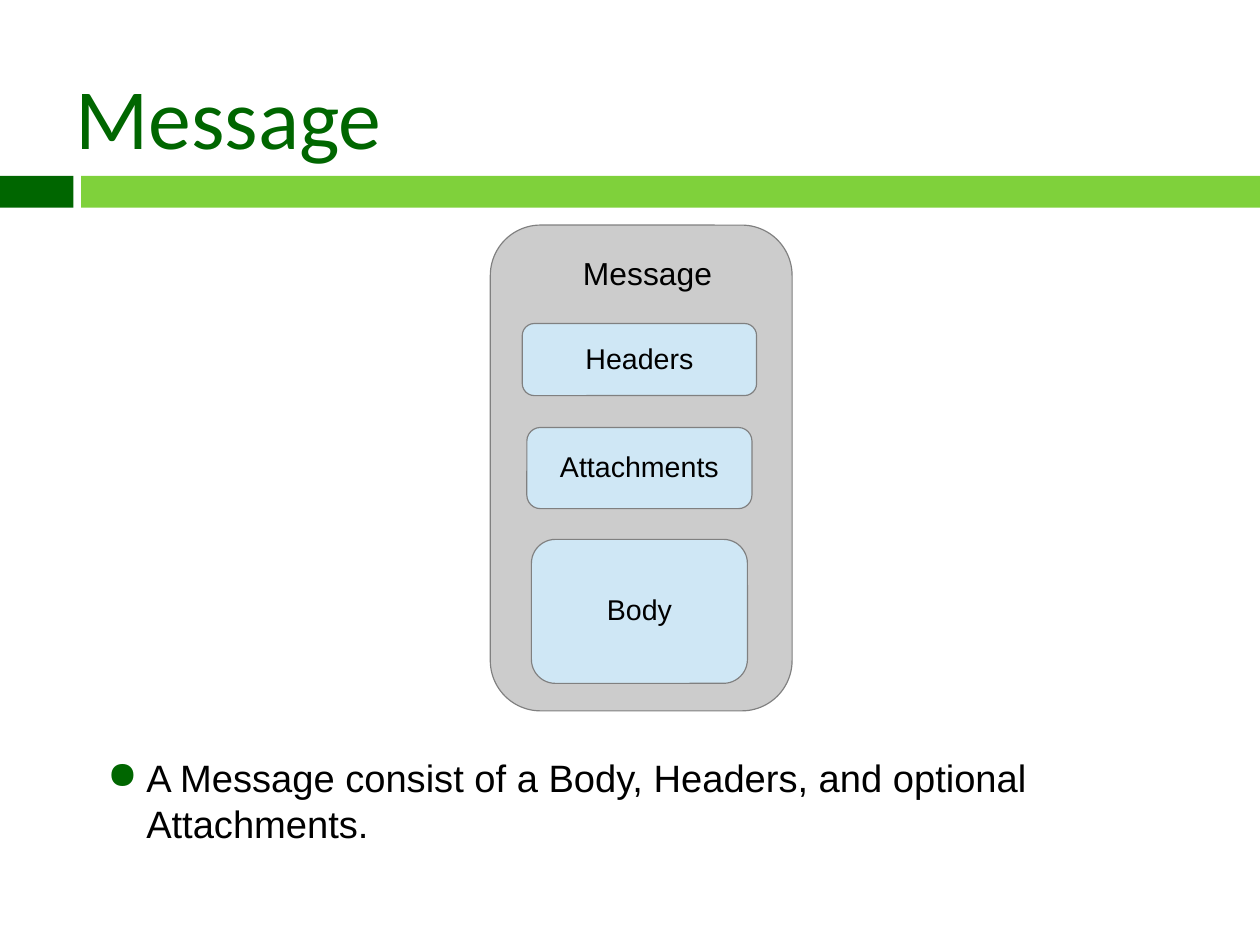
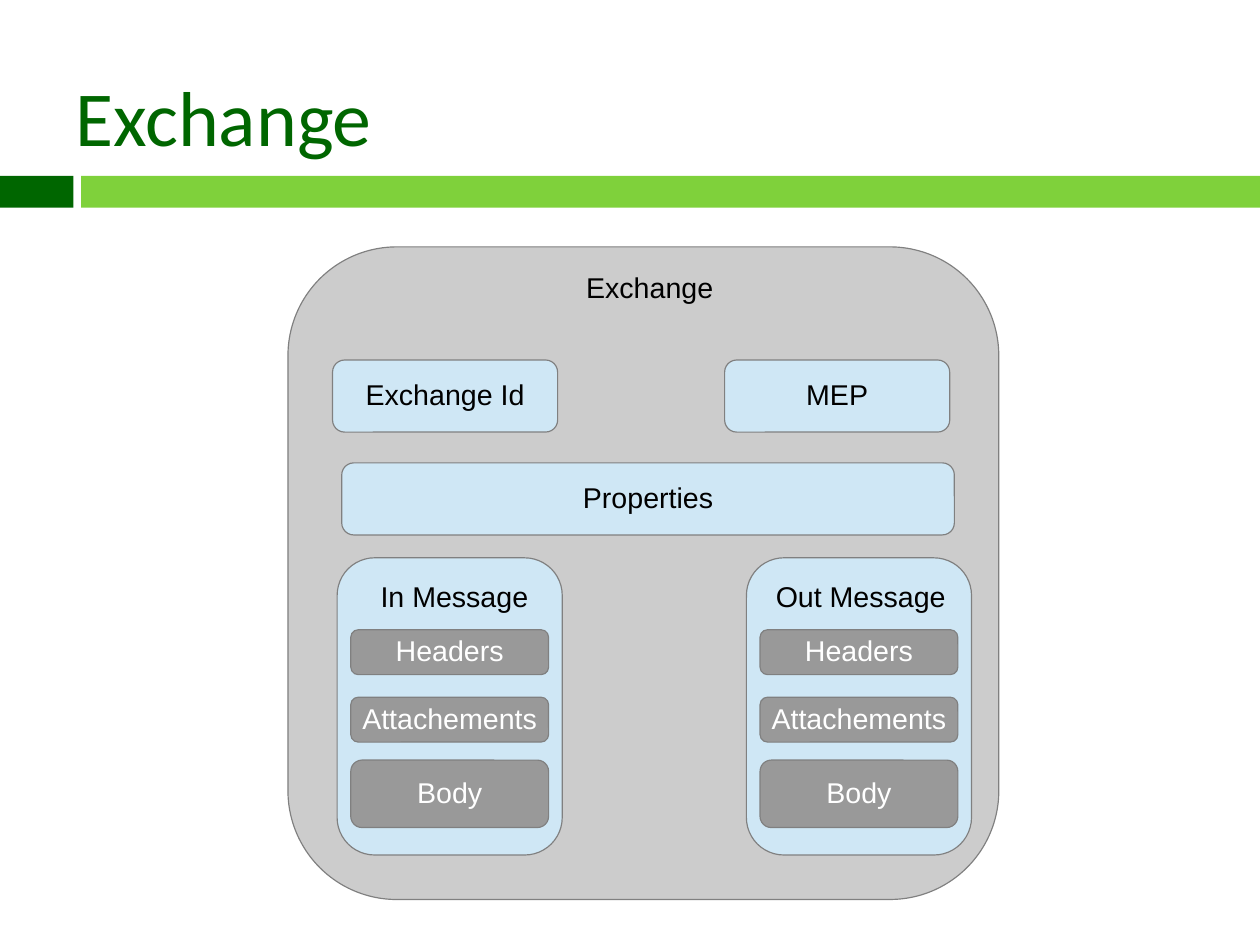
"""Build the Message and Exchange slides."""
import dataclasses

import lxml.etree
import pptx
import pptx.dml.color
import pptx.enum.shapes
import pptx.enum.text
import pptx.oxml.ns
import pptx.util

Pt = pptx.util.Pt
RGB = pptx.dml.color.RGBColor.from_string
SHAPE = pptx.enum.shapes.MSO_SHAPE
ALIGN = pptx.enum.text.PP_ALIGN
ANCHOR = pptx.enum.text.MSO_ANCHOR
qn = pptx.oxml.ns.qn


@dataclasses.dataclass(frozen=True)
class Theme:
    dark: str = "006600"
    light: str = "7FD13B"
    panel: str = "CCCCCC"
    block: str = "CFE7F5"
    inner: str = "999999"
    edge: str = "808080"
    black: str = "000000"
    white: str = "FFFFFF"
    title_font: str = "Calibri"
    body_font: str = "Arial"
    label: int = 18
    heading: int = 20
    bullet: int = 24
    message_title: int = 54
    exchange_title: int = 49


theme = Theme()


def write(sp, text, size, color=theme.black, font=theme.body_font, align=ALIGN.CENTER,
          anchor=ANCHOR.MIDDLE, wrap=False, spacing=0.93, insets=(7.2, 3.6, 7.2, 3.6)):
    tf = sp.text_frame
    left, top, right, bottom = map(Pt, insets)
    p = tf.paragraphs[0]
    r = p.add_run()
    r.text = text
    r.font.color.rgb = RGB(color)
    formats = (
        (tf, {"word_wrap": wrap, "auto_size": pptx.enum.text.MSO_AUTO_SIZE.NONE,
              "vertical_anchor": anchor, "margin_left": left, "margin_top": top,
              "margin_right": right, "margin_bottom": bottom}),
        (p, {"alignment": align, "line_spacing": spacing}),
        (r.font, {"name": font, "size": Pt(size)}),
    )
    for target, values in formats:
        for name, value in values.items():
            setattr(target, name, value)
    return p


def add_box(s, at, fill, text="", color=theme.black, kind=SHAPE.ROUNDED_RECTANGLE, edge=theme.edge):
    sp = s.shapes.add_shape(kind, *map(Pt, at))
    sp.shadow.inherit = False
    sp.fill.solid()
    sp.fill.fore_color.rgb = RGB(fill)
    if edge:
        sp.line.color.rgb = RGB(edge)
        sp.line.width = Pt(0.75)
    else:
        sp.line.fill.background()
    if text:
        write(sp, text, theme.label, color)
    return sp


prs = pptx.Presentation()
prs.slide_width, prs.slide_height = Pt(793.7), Pt(595.28)
layout = prs.slide_layouts[5]

slides = []
for text, size, top, height in (("Message", theme.message_title, 10.8, 124.6),
                                ("Exchange", theme.exchange_title, 23.8, 99.4)):
    s = prs.slides.add_slide(layout)
    for x, w, fill in ((0, 46.2, theme.dark), (51.2, 742.5, theme.light)):
        add_box(s, (x, 110.9, w, 19.9), fill, kind=SHAPE.RECTANGLE, edge=None)
    title = s.shapes.title
    place = {"left": 39.6, "top": top, "width": 714.2, "height": height}
    for name, value in place.items():
        setattr(title, name, Pt(value))
    write(title, text, size, theme.dark, theme.title_font, ALIGN.LEFT, wrap=True,
          spacing=1.0, insets=(7.9, 2.9, 7.9, 4.3))
    slides.append(s)
message, exchange = slides

add_box(message, (308.9, 141.8, 190.1, 306), theme.panel)
center = 402.8
for text, y, w, h in (("Headers", 203.8, 147.6, 45.4),
                      ("Attachments", 269.3, 141.8, 51.1),
                      ("Body", 339.8, 136.1, 90.7)):
    add_box(message, (center - w / 2, y, w, h), theme.block, text)

sp = message.shapes.add_textbox(Pt(51.1), Pt(470.9), Pt(714.2), Pt(93.6))
p = write(sp, "A Message consist of a Body, Headers, and optional Attachments.", theme.bullet,
          align=ALIGN.LEFT, anchor=ANCHOR.TOP, wrap=True, spacing=1.0,
          insets=(7.9, 4.3, 7.9, 4.3))
p.space_before = Pt(7.7)
pPr = p._p.get_or_add_pPr()
pPr.set("marL", str(Pt(33.1)))
pPr.set("indent", str(Pt(-24.5)))
buClr = lxml.etree.SubElement(pPr, qn("a:buClr"))
lxml.etree.SubElement(buClr, qn("a:srgbClr"), val=theme.dark)
lxml.etree.SubElement(pPr, qn("a:buChar"), char="●")

add_box(exchange, (181.4, 155.5, 447.8, 411.1), theme.panel)
for text, x, y, w in (("Exchange Id", 209.5, 226.8, 141.8),
                      ("MEP", 456.5, 226.8, 141.8),
                      ("Properties", 215.3, 291.6, 385.9)):
    add_box(exchange, (x, y, w, 45.4), theme.block, text)
for x in (212.4, 470.2):
    add_box(exchange, (x, 351.4, 141.8, 187.2), theme.block)
    for text, y, h in (("Headers", 396.7, 28.3), ("Attachements", 439.2, 28.3),
                       ("Body", 478.8, 42.5)):
        add_box(exchange, (x + 8.6, y, 124.6, h), theme.inner, text, theme.white)

for s, text, size, spacing, x, y, w, h in (
        (message, "Message", theme.heading, 0.93, 360, 158.4, 95.8, 29.5),
        (exchange, "Exchange", theme.label, 0.83, 354.2, 169.9, 110.2, 27.4),
        (exchange, "In Message", theme.label, 0.93, 232.6, 362.9, 107.3, 27.4),
        (exchange, "Out Message", theme.label, 0.93, 481.7, 362.9, 121, 27.4)):
    sp = s.shapes.add_textbox(Pt(x), Pt(y), Pt(w), Pt(h))
    write(sp, text, size, anchor=ANCHOR.TOP, spacing=spacing)

prs.save("out.pptx")
